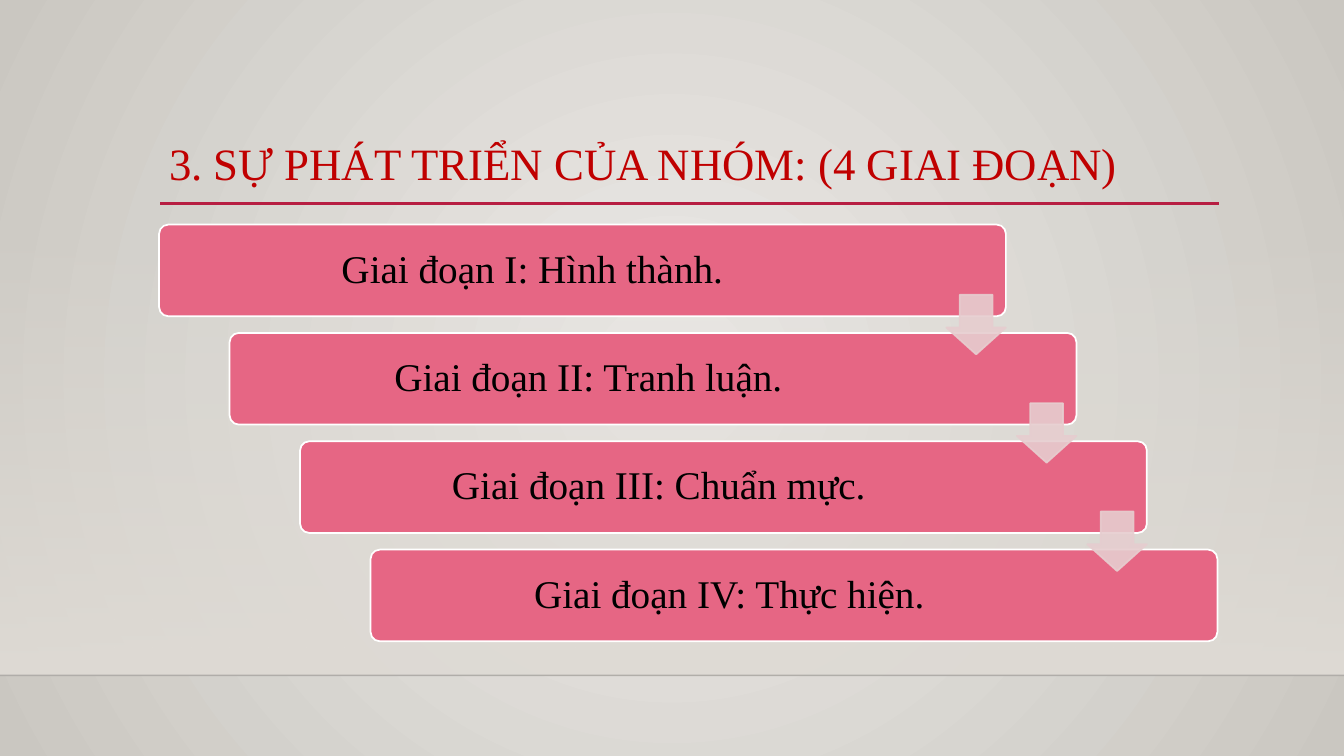
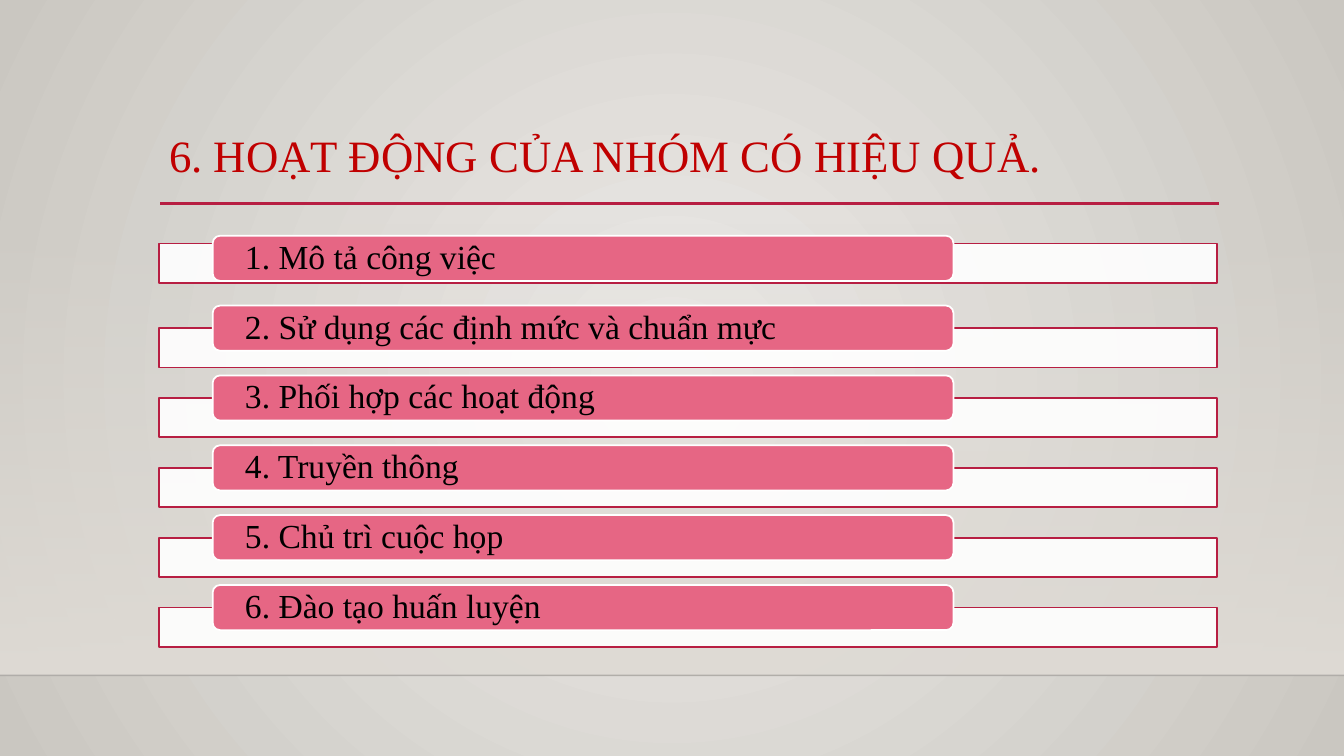
from dataclasses import dataclass

from lxml.etree import SubElement
from pptx import Presentation
from pptx.dml.color import RGBColor
from pptx.enum.shapes import MSO_CONNECTOR, MSO_SHAPE
from pptx.enum.text import MSO_ANCHOR, MSO_AUTO_SIZE, PP_ALIGN
from pptx.oxml import parse_xml
from pptx.oxml.ns import nsdecls, qn
from pptx.util import Cm, Pt


@dataclass(frozen=True)
class Theme:
    font: str = "Times New Roman"
    title_size: int = 32
    stage_size: int = 28
    item_size: int = 24
    title: str = "C00000"
    text: str = "000000"
    accent: str = "B71E42"
    pink: str = "E66684"
    arrow: str = "E6CDCF"
    white: str = "FFFFFF"
    floor_line: str = "000001"
    wall: str = "DFDBD5"
    glow: str = "ECEAE7"
    shade: str = "CAC7C1"


THEME = Theme()
SLIDE_WIDTH, SLIDE_HEIGHT = 33.87, 19.05
LEFT, CONTENT_WIDTH = 4.01, 26.67

STAGES = [
    "Giai đoạn I: Hình thành.",
    "Giai đoạn II: Tranh luận.",
    "Giai đoạn III: Chuẩn mực.",
    "Giai đoạn IV: Thực hiện.",
]
ACTIVITIES = [
    "1. Mô tả công việc",
    "2. Sử dụng các định mức và chuẩn mực",
    "3. Phối hợp các hoạt động",
    "4. Truyền thông",
    "5. Chủ trì cuộc họp",
    "6. Đào tạo huấn luyện",
]


def fade(owner, percent):
    """Set the opacity of the solid fill directly inside owner."""
    colour = owner.find(qn("a:solidFill"))[0]
    SubElement(colour, qn("a:alpha"), val=str(percent * 1000))


def apply_gradient(fill, owner, start, end, direction, start_opacity=100):
    """Give fill, which lies inside owner, a gradient of two colours."""
    fill.background()
    empty_fill = owner.find(f".//{qn('a:noFill')}")
    gradient = parse_xml(
        f'<a:gradFill {nsdecls("a")} rotWithShape="1"><a:gsLst>'
        f'<a:gs pos="0"><a:srgbClr val="{start}">'
        f'<a:alpha val="{start_opacity * 1000}"/></a:srgbClr></a:gs>'
        f'<a:gs pos="100000"><a:srgbClr val="{end}"/></a:gs>'
        f"</a:gsLst>{direction}</a:gradFill>"
    )
    empty_fill.getparent().replace(empty_fill, gradient)


def write_text(frame, text, *, size, colour=THEME.text, align=PP_ALIGN.LEFT,
               anchor=MSO_ANCHOR.MIDDLE, insets=(0.25, 0.13, 0.25, 0.13)):
    """Fill a text frame; insets are left, top, right, bottom in cm."""
    frame.word_wrap = True
    frame.auto_size = MSO_AUTO_SIZE.NONE
    frame.vertical_anchor = anchor
    (frame.margin_left, frame.margin_top,
     frame.margin_right, frame.margin_bottom) = map(Cm, insets)
    paragraph = frame.paragraphs[0]
    paragraph.alignment = align
    paragraph.line_spacing = 0.9
    run = paragraph.add_run()
    run.text = text
    run.font.name = THEME.font
    run.font.size = Pt(size)
    run.font.color.rgb = RGBColor.from_string(colour)


class Deck:
    def __init__(self, theme):
        self.theme = theme
        self.presentation = Presentation()
        self.presentation.slide_width = Cm(SLIDE_WIDTH)
        self.presentation.slide_height = Cm(SLIDE_HEIGHT)
        self.slide = None
        master = self.presentation.slide_master
        apply_gradient(
            master.background.fill, master.element, theme.glow, theme.shade,
            '<a:path path="circle"><a:fillToRect l="50000" t="50000" '
            'r="50000" b="50000"/></a:path>')

    def new_slide(self, title, title_top):
        self.slide = self.presentation.slides.add_slide(
            self.presentation.slide_layouts.get_by_name("Title Only"))
        self.add_backdrop()
        self.add_title(title, title_top)

    def add_backdrop(self):
        wall_top, floor = 5.61, 17.02
        wall = self.add_block(MSO_SHAPE.RECTANGLE, 0, wall_top, SLIDE_WIDTH,
                              floor - wall_top, self.theme.wall)
        apply_gradient(wall.fill, wall.element.spPr, self.theme.wall,
                       self.theme.wall, '<a:lin ang="5400000" scaled="0"/>',
                       start_opacity=0)
        floor_line = self.add_rule(0, SLIDE_WIDTH, floor,
                                   self.theme.floor_line, 1)
        fade(floor_line.element.spPr.find(qn("a:ln")), 20)
        self.add_rule(4.04, 30.73, 5.13, self.theme.accent, 2.5)

    def add_title(self, text, top):
        title = self.slide.shapes.title
        title.left, title.top = Cm(LEFT), Cm(top)
        title.width, title.height = Cm(CONTENT_WIDTH), Cm(2.95)
        write_text(title.text_frame, text, size=self.theme.title_size,
                   colour=self.theme.title, anchor=MSO_ANCHOR.TOP)
        # The title belongs in front of the backdrop.
        title.element.getparent().append(title.element)

    def add_rule(self, start, end, y, colour, weight):
        rule = self.slide.shapes.add_connector(
            MSO_CONNECTOR.STRAIGHT, Cm(start), Cm(y), Cm(end), Cm(y))
        rule.line.color.rgb = RGBColor.from_string(colour)
        rule.line.width = Pt(weight)
        SubElement(rule.element.spPr, qn("a:effectLst"))
        return rule

    def add_block(self, kind, left, top, width, height, fill, line=None,
                  adjustments=()):
        block = self.slide.shapes.add_shape(
            kind, Cm(left), Cm(top), Cm(width), Cm(height))
        block.shadow.inherit = False
        block.fill.solid()
        block.fill.fore_color.rgb = RGBColor.from_string(fill)
        if line:
            block.line.color.rgb = RGBColor.from_string(line)
            block.line.width = Pt(1.25)
        else:
            block.line.fill.background()
        for index, value in enumerate(adjustments):
            block.adjustments[index] = value
        return block

    def add_label(self, text, left, top, width, height, adjustments=(),
                  **text_format):
        """Add a pink rounded bar that carries text."""
        label = self.add_block(MSO_SHAPE.ROUNDED_RECTANGLE, left, top, width,
                               height, self.theme.pink, self.theme.white,
                               adjustments)
        write_text(label.text_frame, text, **text_format)

    def add_down_arrow(self, left, top, size):
        arrow = self.add_block(MSO_SHAPE.DOWN_ARROW, left, top, size, size,
                               self.theme.arrow, self.theme.arrow,
                               (0.55, 0.45))
        properties = arrow.element.spPr
        fade(properties, 90)
        fade(properties.find(qn("a:ln")), 90)

    def add_strip(self, top, height):
        strip = self.add_block(MSO_SHAPE.RECTANGLE, LEFT, top, CONTENT_WIDTH,
                               height, self.theme.white, self.theme.accent)
        fade(strip.element.spPr, 90)


def build_stages(deck):
    deck.new_slide("3. SỰ PHÁT TRIỂN CỦA NHÓM: (4 GIAI ĐOẠN)", 3.43)
    top, width, height = 5.66, 21.34, 2.31
    step_x = (CONTENT_WIDTH - width) / (len(STAGES) - 1)
    step_y = 2.73
    arrow_size = 1.5
    for index, stage in enumerate(STAGES):
        right_inset = 3.63 if index else 2.9
        deck.add_label(stage, LEFT + index * step_x, top + index * step_y,
                       width, height, (0.1,), size=deck.theme.stage_size,
                       align=PP_ALIGN.CENTER,
                       insets=(0.37, 0.3, right_inset, 0.3))
    for index in range(len(STAGES) - 1):
        gap_middle = top + index * step_y + (height + step_y) / 2
        deck.add_down_arrow(LEFT + index * step_x + width - arrow_size,
                            gap_middle - arrow_size / 2, arrow_size)


def build_activities(deck):
    deck.new_slide("6. HOẠT ĐỘNG CỦA NHÓM CÓ HIỆU QUẢ.", 3.25)
    first_top, pitch, label_height = 5.94, 1.76, 1.14
    for index, activity in enumerate(ACTIVITIES):
        top = first_top + index * pitch
        strip_drop = label_height / 2 if index else 0.2
        deck.add_strip(top + strip_drop, 0.99)
        deck.add_label(activity, 5.36, top, 18.67, label_height,
                       size=deck.theme.item_size, insets=(0.76, 0, 0.76, 0))


def main():
    deck = Deck(THEME)
    build_stages(deck)
    build_activities(deck)
    deck.presentation.save("out.pptx")


if __name__ == "__main__":
    main()
